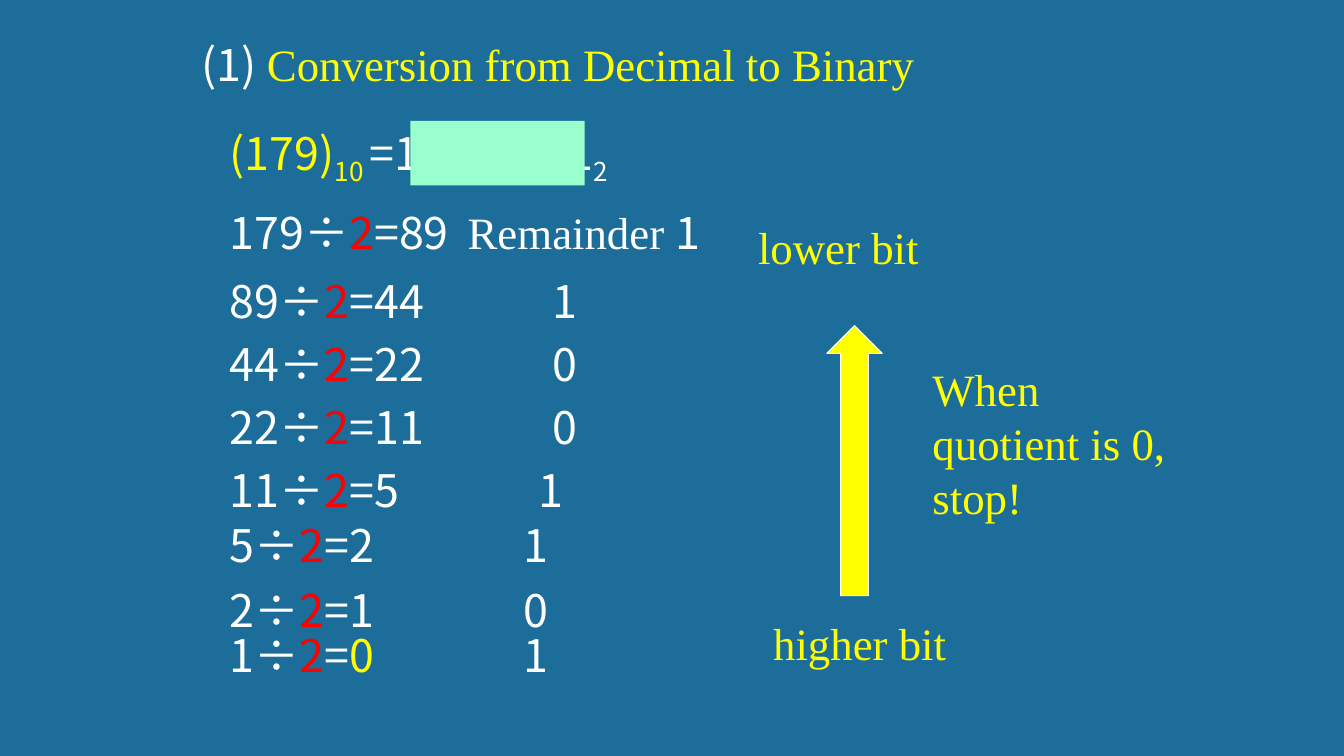
from dataclasses import dataclass
from typing import NamedTuple

import pptx
import pptx.dml.color
import pptx.enum.shapes
import pptx.enum.text
import pptx.oxml
import pptx.oxml.ns
import pptx.util
from pptx.util import Inches

ANCHOR = pptx.enum.text.MSO_ANCHOR
ALIGN = pptx.enum.text.PP_ALIGN
FIT = pptx.enum.text.MSO_AUTO_SIZE
SHAPE = pptx.enum.shapes.MSO_SHAPE


@dataclass(frozen=True)
class Theme:
    back: str = "1C6D9A"
    white: str = "FFFFFF"
    yellow: str = "FFFF00"
    red: str = "FF0000"
    mint: str = "99FFCC"
    sans: str = "Noto Sans CJK SC"
    serif: str = "Times New Roman"
    size: float = 32
    edge: float = 0.75


THEME = Theme()


class Box(NamedTuple):
    left: float
    top: float
    width: float
    height: float = 0.64


class Run(NamedTuple):
    text: str
    color: str = THEME.white
    font: str = THEME.sans
    sub: bool = False


class Label(NamedTuple):
    box: Box
    text: str
    wrap: bool = False


class Step(NamedTuple):
    top: float
    tab: float


FRAME = {
    "vertical_anchor": ANCHOR.TOP,
    "auto_size": FIT.SHAPE_TO_FIT_TEXT,
    "margin_left": Inches(0.1),
    "margin_right": Inches(0.1),
    "margin_top": Inches(0.05),
    "margin_bottom": Inches(0.05),
}

LEFT, WIDE = 2.18, 9.38
START, BASE = 179, 2
STEPS = [
    Step(1.98, 2.36), Step(2.67, 3.2), Step(3.29, 3.2), Step(3.92, 3.2),
    Step(4.54, 3.06), Step(5.09, 2.91), Step(5.73, 2.91), Step(6.18, 2.91),
]
LABELS = [
    Label(Box(7.57, 6.06, 1.93), "higher bit"),
    Label(Box(7.42, 2.13, 1.81), "lower bit"),
    Label(Box(9.15, 3.54, 2.52, 1.72), "When quotient is 0, stop!", True),
]


def apply(item, values: dict) -> None:
    """Set each named attribute on the item."""
    for name, value in values.items():
        setattr(item, name, value)


def place(shape, box: Box) -> None:
    apply(shape, {k: Inches(v) for k, v in box._asdict().items()})


def rgb(code: str) -> pptx.dml.color.RGBColor:
    return pptx.dml.color.RGBColor.from_string(code)


def write(shape, runs: list[Run], wrap: bool, tab: float = 0) -> None:
    """Fill a text shape with one paragraph, with an optional tab stop."""
    frame = shape.text_frame
    apply(frame, FRAME | {"word_wrap": wrap})
    para = frame.paragraphs[0]
    para.alignment = ALIGN.LEFT
    if tab:
        props = para._p.get_or_add_pPr()
        stops = pptx.oxml.parse_xml(
            f"<a:tabLst {pptx.oxml.ns.nsdecls('a')}>"
            f'<a:tab pos="{Inches(tab)}" algn="l"/></a:tabLst>')
        props.append(stops)
    for part in runs:
        run = para.add_run()
        run.text = part.text
        apply(run.font, {"name": part.font, "size": pptx.util.Pt(THEME.size)})
        run.font.color.rgb = rgb(part.color)
        props = run._r.get_or_add_rPr()
        east = pptx.oxml.parse_xml(
            f"<a:ea {pptx.oxml.ns.nsdecls('a')} typeface=\"{part.font}\"/>")
        props.find(pptx.oxml.ns.qn("a:latin")).addnext(east)
        if part.sub:
            props.set("baseline", "-25000")


def note(slide, box: Box, runs: list[Run], wrap: bool = True,
         tab: float = 0) -> None:
    """Add a text box."""
    shape = slide.shapes.add_textbox(*map(Inches, box))
    write(shape, runs, wrap, tab)


def solid(slide, kind, box: Box, fill: str, line: str = "") -> None:
    """Add a filled shape, outlined only if a line colour is given."""
    shape = slide.shapes.add_shape(kind, *map(Inches, box))
    shape.shadow.inherit = False
    shape.fill.solid()
    shape.fill.fore_color.rgb = rgb(fill)
    if line:
        shape.line.color.rgb = rgb(line)
        shape.line.width = pptx.util.Pt(THEME.edge)
    else:
        shape.line.fill.background()


def divide(slide) -> None:
    """Write the chain of divisions, one row a step."""
    value = START
    for row, step in enumerate(STEPS):
        quot, rest = divmod(value, BASE)
        runs = [Run(f"{value}÷"), Run(str(BASE), THEME.red), Run("="),
                Run(f"{quot}\t", THEME.white if quot else THEME.yellow)]
        if row == 0:
            runs.append(Run("Remainder ", font=THEME.serif))
        runs.append(Run(str(rest)))
        note(slide, Box(LEFT, step.top, WIDE), runs, tab=step.tab)
        value = quot


def main() -> None:
    deck = pptx.Presentation()
    apply(deck, {"slide_width": Inches(13.33), "slide_height": Inches(7.5)})
    slide = deck.slides.add_slide(deck.slide_layouts[5])
    slide.background.fill.solid()
    slide.background.fill.fore_color.rgb = rgb(THEME.back)

    title = slide.shapes.title
    place(title, Box(1.9, 0.31, 7.58))
    head = "Conversion from Decimal to Binary"
    write(title, [Run("(1) "), Run(head, THEME.yellow, THEME.serif)], False)

    note(slide, Box(LEFT, 1.2, WIDE), [
        Run(f"({START})", THEME.yellow), Run("10 ", THEME.yellow, sub=True),
        Run(f"={START:b}"), Run(str(BASE), sub=True)])
    divide(slide)
    solid(slide, SHAPE.UP_ARROW, Box(8.2, 3.23, 0.55, 2.68),
          THEME.yellow, THEME.white)
    for label in LABELS:
        runs = [Run(label.text, THEME.yellow, THEME.serif)]
        note(slide, label.box, runs, label.wrap)
    solid(slide, SHAPE.RECTANGLE, Box(4.07, 1.2, 1.73), THEME.mint)
    deck.save("out.pptx")


if __name__ == "__main__":
    main()
